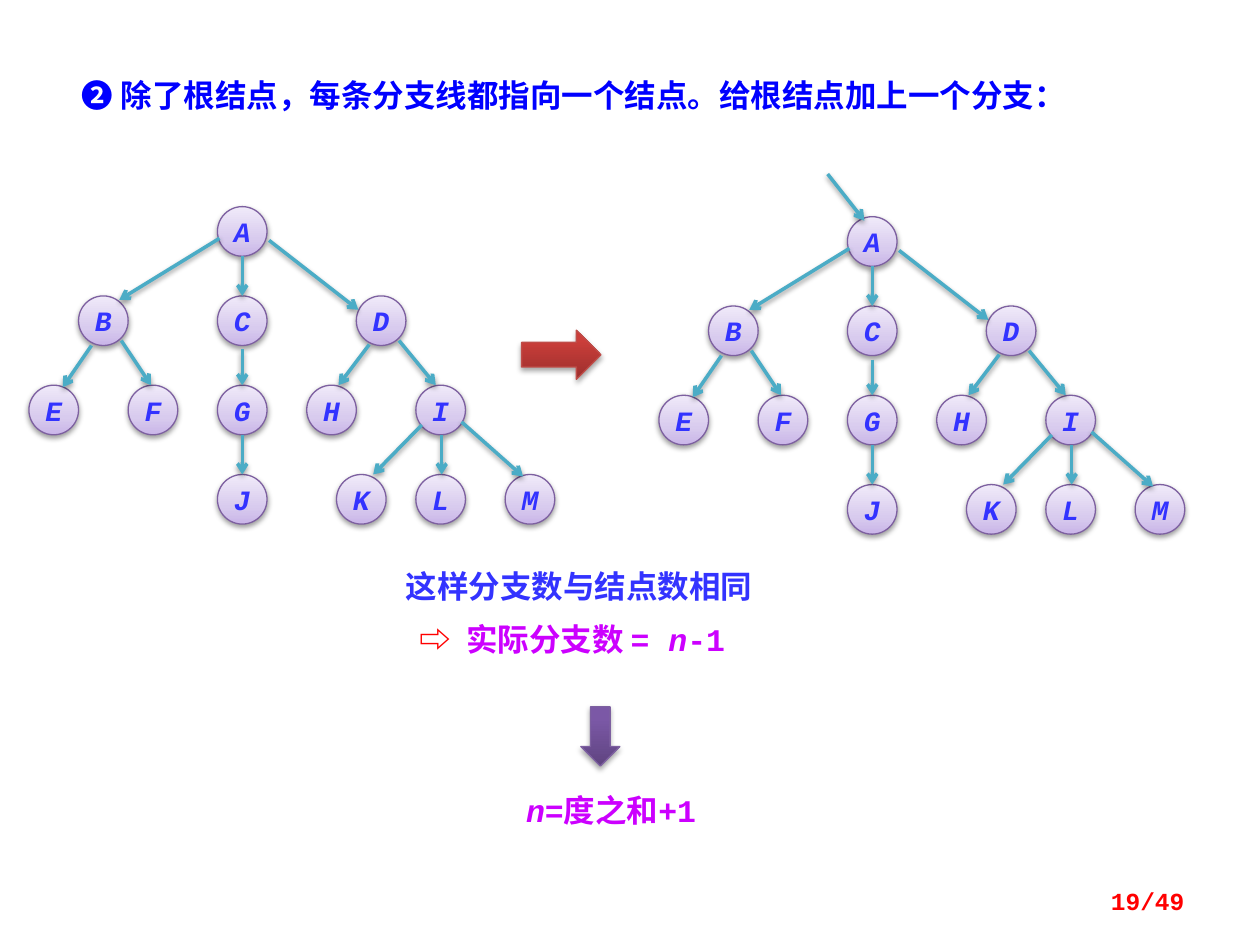
from dataclasses import dataclass

from pptx import Presentation
from pptx.dml.color import RGBColor
from pptx.enum.shapes import MSO_CONNECTOR, MSO_SHAPE
from pptx.enum.text import MSO_ANCHOR, PP_ALIGN
from pptx.oxml import parse_xml
from pptx.oxml.ns import nsdecls
from pptx.util import Cm, Inches, Pt

BLUE = RGBColor(0x00, 0x00, 0xFF)
SOFT_BLUE = RGBColor(0x33, 0x33, 0xFF)
MAGENTA = RGBColor(0xCC, 0x00, 0xFF)
RED = RGBColor(0xFF, 0x00, 0x00)
TEAL = RGBColor(0x4B, 0xAC, 0xC6)
PURPLE = RGBColor(0x7D, 0x60, 0xA0)
BRICK = RGBColor(0xBF, 0x4C, 0x48)

# Gradient stops (percent, colour), from bottom to top
LILAC_STOPS = [(0, RGBColor(0xC9, 0xB5, 0xE8)), (35, RGBColor(0xD8, 0xCB, 0xEE)),
               (100, RGBColor(0xF0, 0xEA, 0xF9))]
PURPLE_STOPS = [(0, RGBColor(0x5F, 0x44, 0x80)), (80, RGBColor(0x7B, 0x58, 0xA6)),
                (100, RGBColor(0x7C, 0x57, 0xA8))]
BRICK_STOPS = [(0, RGBColor(0x9C, 0x2F, 0x2D)), (80, RGBColor(0xCB, 0x3E, 0x3A)),
               (100, RGBColor(0xCE, 0x3B, 0x37))]

FONT = "Courier New"
UNIT = Cm(0.2)   # grid step of the trees
DIAMETER = 5     # node size in grid steps
LEVEL = 9        # distance between tree levels in grid steps


@dataclass(frozen=True)
class Node:
    letter: str
    column: int
    level: int


@dataclass(frozen=True)
class Branch:
    x1: float
    y1: float
    x2: float
    y2: float


NODES = [
    Node("A", 19, 0),
    Node("B", 5, 1), Node("C", 19, 1), Node("D", 33, 1),
    Node("E", 0, 2), Node("F", 10, 2), Node("G", 19, 2), Node("H", 28, 2), Node("I", 39, 2),
    Node("J", 19, 3), Node("K", 31, 3), Node("L", 39, 3), Node("M", 48, 3),
]
BRANCHES = [
    Branch(19.2, 3.2, 9.1, 9.4), Branch(21.5, 5, 21.5, 9), Branch(24.2, 3.4, 33.2, 10.4),
    Branch(6.3, 14, 3.4, 18.2), Branch(9.3, 13.5, 12.3, 18),
    Branch(21.5, 14.4, 21.5, 18), Branch(21.5, 23, 21.5, 27),
    Branch(34.3, 13.9, 31.2, 18), Branch(37.3, 13.5, 41, 18),
    Branch(39.6, 22, 34.7, 27), Branch(41.6, 23, 41.6, 27), Branch(43.6, 21.7, 49.8, 27.2),
]
ROOT_BRANCH = Branch(17, -4.3, 20.7, 0.4)


def add_shadow(part, distance: float, opacity: int) -> None:
    part._element.spPr.append(parse_xml(
        f'<a:effectLst {nsdecls("a")}><a:outerShdw blurRad="{Pt(3.1)}" dist="{Pt(distance)}" '
        f'dir="5400000" rotWithShape="0"><a:srgbClr val="000000">'
        f'<a:alpha val="{opacity * 1000}"/></a:srgbClr></a:outerShdw></a:effectLst>'))


def paint(part, stops: list, outline: RGBColor, distance: float, opacity: int) -> None:
    """Gradient fill, thin outline and soft shadow."""
    part.fill.gradient()
    part.fill.gradient_angle = 90
    stop_list = part._element.spPr.find(".//{*}gsLst")
    for stop in list(stop_list):
        stop_list.remove(stop)
    for percent, color in stops:
        stop_list.append(parse_xml(f'<a:gs {nsdecls("a")} pos="{percent * 1000}">'
                                   f'<a:srgbClr val="{color}"/></a:gs>'))
    part.line.color.rgb = outline
    part.line.width = Pt(0.75)
    add_shadow(part, distance, opacity)


def style(font, size: float, color: RGBColor, italic: bool = False) -> None:
    font.name, font.size, font.bold, font.italic = FONT, Pt(size), True, italic
    font.color.rgb = color


def add_runs(paragraph, *runs: tuple) -> None:
    for text, color, italic in runs:
        run = paragraph.add_run()
        run.text = text
        style(run.font, 18, color, italic)


def add_text_frame(slide, left: float, top: float, width: float, height: float):
    frame = slide.shapes.add_textbox(
        Inches(left), Inches(top), Inches(width), Inches(height)).text_frame
    frame.word_wrap = True
    return frame


def add_node(shapes, node: Node, left: int, top: int) -> None:
    circle = shapes.add_shape(MSO_SHAPE.OVAL, left + node.column * UNIT,
                              top + node.level * LEVEL * UNIT, DIAMETER * UNIT, DIAMETER * UNIT)
    paint(circle, LILAC_STOPS, PURPLE, 1.6, 38)
    frame = circle.text_frame
    frame.word_wrap = False
    frame.vertical_anchor = MSO_ANCHOR.MIDDLE
    letter = frame.paragraphs[0]
    letter.text = node.letter
    letter.alignment = PP_ALIGN.CENTER
    style(letter.font, 16, SOFT_BLUE, italic=True)


def add_branch(shapes, branch: Branch, left: int, top: int) -> None:
    arrow = shapes.add_connector(
        MSO_CONNECTOR.STRAIGHT,
        round(left + branch.x1 * UNIT), round(top + branch.y1 * UNIT),
        round(left + branch.x2 * UNIT), round(top + branch.y2 * UNIT))
    arrow.line.color.rgb = TEAL
    arrow.line.width = Pt(2)
    arrow.line._get_or_add_ln().append(
        parse_xml(f'<a:tailEnd {nsdecls("a")} type="arrow"/>'))
    add_shadow(arrow, 1.6, 38)


def add_tree(slide, left: float, top: float, branches: list) -> None:
    shapes = slide.shapes.add_group_shape().shapes
    for node in NODES:
        add_node(shapes, node, Inches(left), Inches(top))
    for branch in branches:
        add_branch(shapes, branch, Inches(left), Inches(top))


def add_block_arrow(slide, kind, left, top, width, height, stops, outline) -> None:
    arrow = slide.shapes.add_shape(
        kind, Inches(left), Inches(top), Inches(width), Inches(height))
    paint(arrow, stops, outline, 1.8, 35)


presentation = Presentation()
presentation.slide_width, presentation.slide_height = Inches(10), Inches(7.5)
slide = presentation.slides.add_slide(presentation.slide_layouts[5])

# Heading
heading = slide.shapes.title
heading.left, heading.top = Inches(0.55), Inches(0.55)
heading.width, heading.height = Inches(9.14), Inches(0.4)
heading.text_frame.text = "❷ 除了根结点，每条分支线都指向一个结点。给根结点加上一个分支："
heading.text_frame.vertical_anchor = MSO_ANCHOR.TOP
heading.text_frame.paragraphs[0].alignment = PP_ALIGN.LEFT
style(heading.text_frame.paragraphs[0].font, 18, BLUE)

# Trees before and after the extra branch
add_tree(slide, 0.23, 1.64, BRANCHES)
add_tree(slide, 5.23, 1.72, BRANCHES + [ROOT_BRANCH])
add_block_arrow(slide, MSO_SHAPE.RIGHT_ARROW, 4.14, 2.62, 0.63, 0.39, BRICK_STOPS, BRICK)

# Reasoning, with a hanging indent after the hollow arrow
reasoning = add_text_frame(slide, 3.12, 4.45, 4.38, 0.86)
add_runs(reasoning.paragraphs[0], ("这样分支数与结点数相同", SOFT_BLUE, False))
branch_count = reasoning.add_paragraph()
branch_count.space_before = Pt(9)
indent = branch_count._p.get_or_add_pPr()
indent.set("marL", str(Inches(0.48)))
indent.set("indent", str(Inches(-0.37)))
add_runs(branch_count, ("⇨\t", RED, False), ("实际分支数 = ", MAGENTA, False),
         ("n", MAGENTA, True), ("-1", MAGENTA, False))

# Conclusion
add_block_arrow(slide, MSO_SHAPE.DOWN_ARROW, 4.61, 5.61, 0.31, 0.47, PURPLE_STOPS, PURPLE)
conclusion = add_text_frame(slide, 3.52, 6.23, 2.66, 0.4).paragraphs[0]
conclusion.alignment = PP_ALIGN.CENTER
add_runs(conclusion, ("n", MAGENTA, True), ("=度之和+1", MAGENTA, False))

# Page number
page_frame = add_text_frame(slide, 7.17, 6.95, 2.33, 0.4)
page_frame.vertical_anchor = MSO_ANCHOR.MIDDLE
page_number = page_frame.paragraphs[0]
page_number.text = "19/49"
page_number.alignment = PP_ALIGN.RIGHT
style(page_number.font, 14, RED)

presentation.save("out.pptx")
